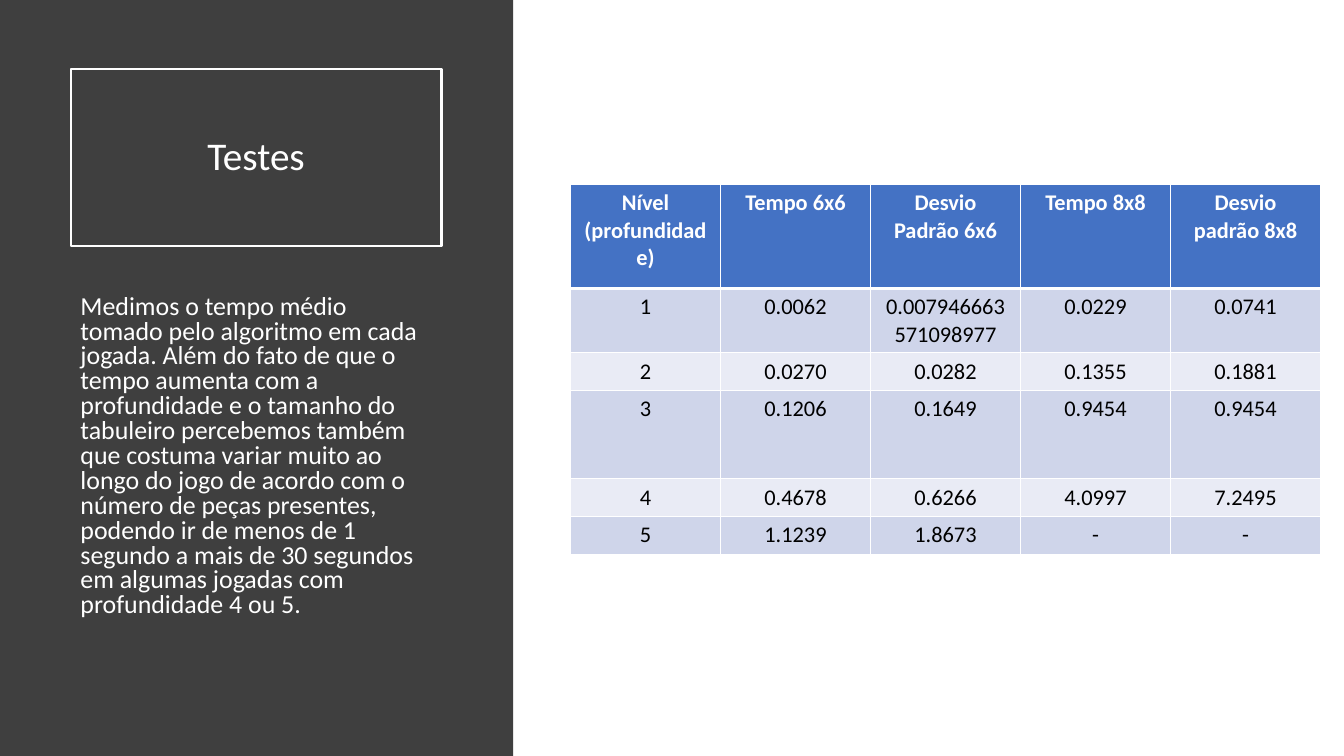
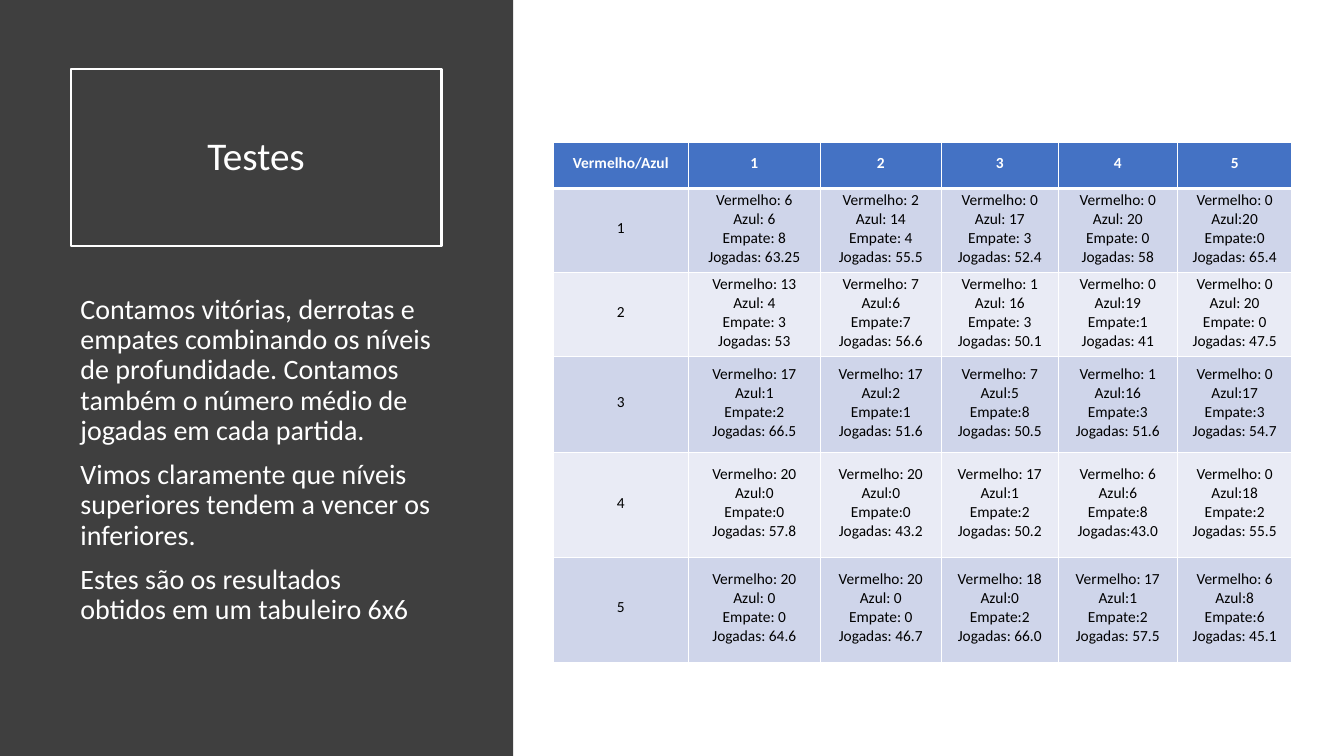
from lxml import etree
from pptx import Presentation
from pptx.dml.color import RGBColor as RGB
from pptx.enum.shapes import MSO_SHAPE as SHAPE
from pptx.enum.text import MSO_ANCHOR as ANCHOR, PP_ALIGN as ALIGN
from pptx.oxml.ns import qn
from pptx.util import Pt

# Shared style
COLORS = {
    "white": "FFFFFF", "black": "000000", "panel": "3F3F3F",
    "header": "4472C4", "odd": "CFD5EA", "even": "E9EBF5",
}
FONT = "Calibri"
SLIDE_W, SLIDE_H = 960, 540
PANEL = (0, 0, 366.5, SLIDE_H)
TITLE = (50.4, 49.2, 265, 126.6)
BODY = (50.4, 207.4, 265, 269.3)
DEFAULT_INSETS = (7.2, 3.6, 7.2, 3.6)
TIGHT_INSETS = (0.7, 0.7, 0.7, 3.6)

# Timing table
TIMES = [
    ["Nível (profundidade)", "Tempo 6x6", "Desvio Padrão 6x6", "Tempo 8x8",
     "Desvio padrão 8x8"],
    ["1", "0.0062", "0.007946663571098977", "0.0229", "0.0741"],
    ["2", "0.0270", "0.0282", "0.1355", "0.1881"],
    ["3", "0.1206", "0.1649", "0.9454", "0.9454"],
    ["4", "0.4678", "0.6266", "4.0997", "7.2495"],
    ["5", "1.1239", "1.8673", "-", "-"],
]

# Match results: the values after each label, spacing included
LABELS = ["Vermelho", "Azul", "Empate", "Jogadas"]
MATCHES = [
    [" 6, 6, 8, 63.25", " 2, 14, 4, 55.5", " 0, 17, 3, 52.4",
     " 0, 20, 0, 58", " 0,20,0, 65.4"],
    [" 13, 4, 3, 53", " 7,6,7, 56.6", " 1, 16, 3, 50.1",
     " 0,19,1, 41", " 0, 20, 0, 47.5"],
    [" 17,1,2, 66.5", " 17,2,1, 51.6", " 7,5,8, 50.5",
     " 1,16,3, 51.6", " 0,17,3, 54.7"],
    [" 20,0,0, 57.8", " 20,0,0, 43.2", " 17,1,2, 50.2",
     " 6,6,8,43.0", " 0,18,2, 55.5"],
    [" 20, 0, 0, 64.6", " 20, 0, 0, 46.7", " 18,0,2, 66.0",
     " 17,1,2, 57.5", " 6,8,6, 45.1"],
]

TIMES_BODY = [
    "Medimos o tempo médio tomado pelo algoritmo em cada jogada. Além do fato "
    "de que o tempo aumenta com a profundidade e o tamanho do tabuleiro "
    "percebemos também que costuma variar muito ao longo do jogo de acordo com "
    "o número de peças presentes, podendo ir de menos de 1 segundo a mais de "
    "30 segundos em algumas jogadas com profundidade 4 ou 5.",
]
MATCHES_BODY = [
    "Contamos vitórias, derrotas e empates combinando os níveis de "
    "profundidade. Contamos também o número médio de jogadas em cada partida.",
    "Vimos claramente que níveis superiores tendem a vencer os inferiores.",
    "Estes são os resultados obtidos em um tabuleiro 6x6",
]


def color(name):
    return RGB.from_string(COLORS[name])


def box(at):
    return [Pt(v) for v in at]


def write(p, text, size, ink="white", bold=False, **para):
    """Fill a paragraph, turning newlines into line breaks."""
    for name, value in para.items():
        setattr(p, name, value)
    for i, line in enumerate(text.split("\n")):
        if i:
            p.add_line_break()
        r = p.add_run()
        r.text = line
        for name, value in dict(name=FONT, size=Pt(size), bold=bold).items():
            setattr(r.font, name, value)
        r.font.color.rgb = color(ink)


def add_rect(s, at, fill=None, line=None):
    sp = s.shapes.add_shape(SHAPE.RECTANGLE, *box(at))
    sp.shadow.inherit = False
    if fill:
        sp.fill.solid()
        sp.fill.fore_color.rgb = color(fill)
    else:
        sp.fill.background()
    if line:
        sp.line.color.rgb = color(line)
        sp.line.width = Pt(1.5)
    else:
        sp.line.fill.background()
    return sp


def add_title(s, text):
    tf = add_rect(s, TITLE, line="white").text_frame
    tf.word_wrap = True
    tf.vertical_anchor = ANCHOR.MIDDLE
    write(tf.paragraphs[0], text, 28, alignment=ALIGN.CENTER, line_spacing=0.9)


def add_body(s, texts, size, spacing):
    tf = s.shapes.add_textbox(*box(BODY)).text_frame
    tf.word_wrap = True
    for i, text in enumerate(texts):
        p = tf.add_paragraph() if i else tf.paragraphs[0]
        write(p, text, size, line_spacing=spacing, space_before=Pt(10))


def set_borders(cell, top, bottom):
    tc_pr = cell._tc.get_or_add_tcPr()
    for tag, width in dict(lnL=1, lnR=1, lnT=top, lnB=bottom).items():
        ln = etree.SubElement(tc_pr, qn(f"a:{tag}"), w=str(Pt(width)))
        fill = etree.SubElement(ln, qn("a:solidFill"))
        etree.SubElement(fill, qn("a:srgbClr"), val=COLORS["white"])


def add_grid(s, left, top, widths, heights, rows, size,
             insets=DEFAULT_INSETS, anchor=ANCHOR.TOP):
    at = (left, top, sum(widths), sum(heights))
    table = s.shapes.add_table(len(rows), len(widths), *box(at)).table
    table.horz_banding = False
    for col, width in zip(table.columns, widths):
        col.width = Pt(width)
    sides = ["margin_left", "margin_top", "margin_right", "margin_bottom"]
    layout = dict(zip(sides, box(insets)), vertical_anchor=anchor)
    for i, texts in enumerate(rows):
        table.rows[i].height = Pt(heights[i])
        header = i == 0
        fill = "header" if header else "odd" if i % 2 else "even"
        for j, text in enumerate(texts):
            cell = table.cell(i, j)
            for name, value in layout.items():
                setattr(cell, name, value)
            set_borders(cell, 3 if i == 1 else 1, 3 if header else 1)
            cell.fill.solid()
            cell.fill.fore_color.rgb = color(fill)
            write(cell.text_frame.paragraphs[0], text, size,
                  "white" if header else "black", header,
                  alignment=ALIGN.CENTER)


def match_text(values):
    return "\n".join(f"{label}:{value}"
                     for label, value in zip(LABELS, values.split(",")))


def match_rows():
    levels = [str(n + 1) for n in range(len(MATCHES))]
    return [["Vermelho/Azul", *levels]] + [
        [level, *map(match_text, row)] for level, row in zip(levels, MATCHES)]


def add_test_slide(prs, texts, size, spacing):
    s = prs.slides.add_slide(prs.slide_layouts[6])
    add_rect(s, PANEL, fill="panel")
    add_title(s, "Testes")
    add_body(s, texts, size, spacing)
    return s


def main():
    prs = Presentation()
    prs.slide_width, prs.slide_height = Pt(SLIDE_W), Pt(SLIDE_H)

    # Time per move
    s = add_test_slide(prs, TIMES_BODY, 18.5, 0.8)
    add_grid(s, 407.5, 131.8, [107.15] * 5, [74.2, 46, 27, 63, 27, 27],
             TIMES, 16)

    # Wins, losses and draws
    s = add_test_slide(prs, MATCHES_BODY, 20, 0.9)
    add_grid(s, 395.2, 101.6, [96.5, 94.3, 86.4, 83.6, 85, 82],
             [33, 60, 60, 68.5, 75, 75], match_rows(), 11,
             TIGHT_INSETS, ANCHOR.MIDDLE)

    prs.save("out.pptx")


if __name__ == "__main__":
    main()
